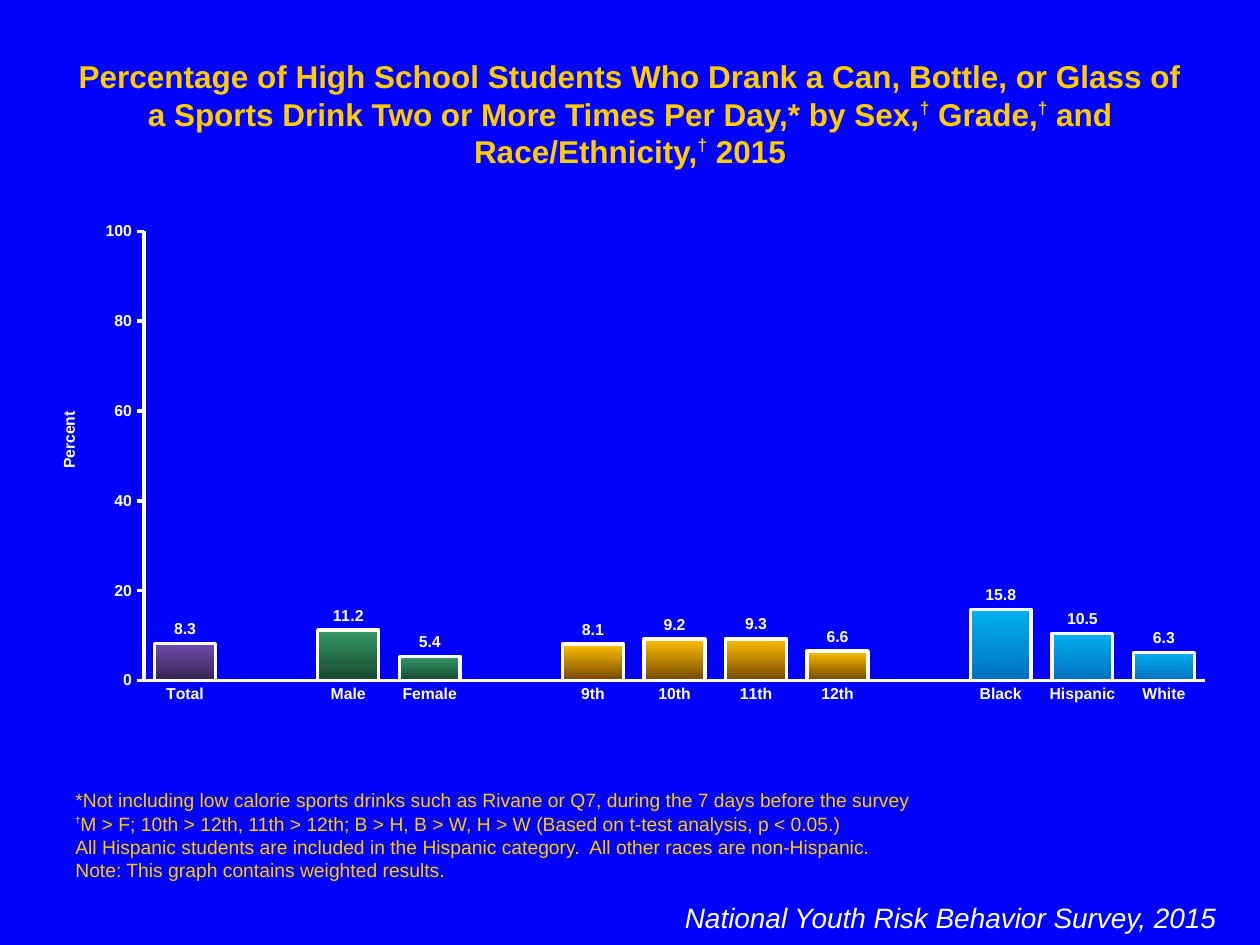
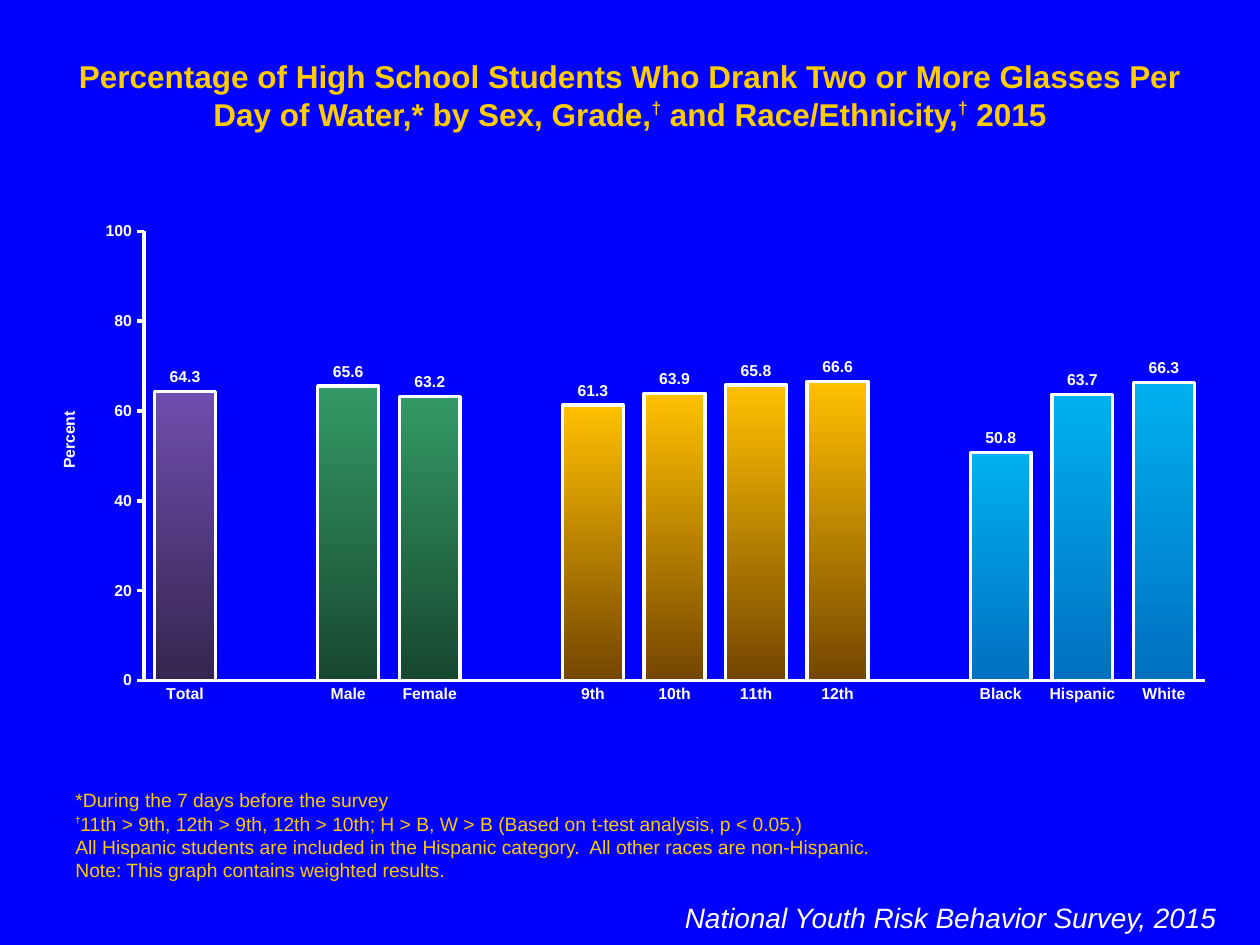
"""Build two survey slides, each a title, a bar chart, notes and a source line."""
from dataclasses import dataclass

from lxml import etree
from pptx import Presentation
from pptx import util as u
from pptx.chart import data
from pptx.dml.color import RGBColor
from pptx.enum import chart as ch, text as tx
from pptx.oxml import ns

GROUPS = [
    (["Total"], ("6E4EAE", "35254F")),
    (["Male", "Female"], ("339966", "18472F")),
    (["9th", "10th", "11th", "12th"], ("FFC000", "744600")),
    (["Black", "Hispanic", "White"], ("00B0F0", "0070C0")),
]
SLIDES = [
    {
        "title": "Percentage of High School Students Who Drank a Can, Bottle, or Glass of "
                 "a Sports Drink Two or More Times Per Day,* by Sex,† Grade,† and "
                 "Race/Ethnicity,† 2015",
        "notes": [
            "*Not including low calorie sports drinks such as Rivane or Q7, "
            "during the 7 days before the survey",
            "†M > F; 10th > 12th, 11th > 12th; B > H, B > W, H > W "
            "(Based on t-test analysis, p < 0.05.)",
        ],
        "rates": [[8.3], [11.2, 5.4], [8.1, 9.2, 9.3, 6.6], [15.8, 10.5, 6.3]],
    },
    {
        "title": "Percentage of High School Students Who Drank Two or More Glasses Per "
                 "Day of Water,* by Sex, Grade,† and Race/Ethnicity,† 2015",
        "notes": [
            "*During the 7 days before the survey",
            "†11th > 9th, 12th > 9th, 12th > 10th; H > B, W > B "
            "(Based on t-test analysis, p < 0.05.)",
        ],
        "rates": [[64.3], [65.6, 63.2], [61.3, 63.9, 65.8, 66.6], [50.8, 63.7, 66.3]],
    },
]
SHARED = [
    "All Hispanic students are included in the Hispanic category.  "
    "All other races are non-Hispanic.",
    "Note: This graph contains weighted results.",
]
SOURCE = "National Youth Risk Behavior Survey, 2015"


@dataclass(frozen=True)
class Theme:
    face: str = "Arial"
    back: str = "0000FF"
    gold: str = "FFCC00"
    white: str = "FFFFFF"
    title: int = 18
    note: int = 11
    source: int = 16
    label: int = 9
    line: int = 2


T = Theme()


def rgb(code):
    return RGBColor.from_string(code)


def style(font, size, color, bold=False, italic=False):
    font.name, font.size = T.face, u.Pt(size)
    font.bold, font.italic = bold, italic
    font.color.rgb = rgb(color)


def write(slide, area, lines, size, color, align, bold=False, italic=False,
          anchor=tx.MSO_ANCHOR.TOP, mark=(17, 40, True)):
    frame = slide.shapes.add_textbox(*map(u.Cm, area)).text_frame
    frame.word_wrap = True
    frame.auto_size = tx.MSO_AUTO_SIZE.SHAPE_TO_FIT_TEXT
    frame.vertical_anchor = anchor
    for i, line in enumerate(lines):
        para = frame.add_paragraph() if i else frame.paragraphs[0]
        para.alignment = align
        style(para.font, size, color, bold, italic)
        for j, part in enumerate(line.split("†")):
            if j:
                raise_mark(para, *mark)
            if part:
                para.add_run().text = part


def raise_mark(para, size, lift, bold):
    run = para.add_run()
    run.text = "†"
    run.font.size, run.font.bold = u.Pt(size), bold
    run.font._element.set("baseline", str(lift * 1000))


def place(parent, index, **spots):
    layout = parent.find(ns.qn("c:layout"))
    if layout is None:
        layout = etree.Element(ns.qn("c:layout"))
        parent.insert(index, layout)
    manual = etree.SubElement(layout, ns.qn("c:manualLayout"))
    for tag, value in spots.items():
        etree.SubElement(manual, ns.qn(f"c:{tag}")).set("val", str(value))


def rule(line):
    line.color.rgb = rgb(T.white)
    line.width = u.Pt(T.line)


def spread(parts, gap):
    flat = []
    for part in parts:
        flat += ([gap] if flat else []) + list(part)
    return flat


def plot(slide, rates):
    info = data.CategoryChartData()
    info.categories = spread([names for names, _ in GROUPS], "")
    info.add_series("Series 1", spread(rates, None))
    area = map(u.Cm, (0.64, 4.29, 24.13, 10.11))
    chart = slide.shapes.add_chart(ch.XL_CHART_TYPE.COLUMN_CLUSTERED, *area, info).chart
    chart.has_legend = chart.has_title = False
    style(chart.font, T.title, T.white)
    place(chart._chartSpace.chart.plotArea, 0, layoutTarget="inner", xMode="edge",
          yMode="edge", x=0.094, y=0.037, w=0.886, h=0.896)

    for axis in (chart.category_axis, chart.value_axis):
        axis.has_major_gridlines = False
        axis.major_tick_mark = axis.minor_tick_mark = ch.XL_TICK_MARK.NONE
        style(axis.tick_labels.font, T.label, T.white, True)
        rule(axis.format.line)
    axis.major_tick_mark = ch.XL_TICK_MARK.OUTSIDE
    axis.minimum_scale, axis.maximum_scale, axis.major_unit = 0, 100, 20
    head = axis.axis_title
    para = head.text_frame.paragraphs[0]
    para.text = "Percent"
    style(para.runs[0].font, T.label, T.white, True)
    place(head._element, 1, xMode="edge", yMode="edge", x=0.02, y=0.39)

    bars = chart.plots[0]
    bars.gap_width, bars.overlap, bars.vary_by_categories = 34, 100, False
    bars.has_data_labels = True
    labels = bars.data_labels
    labels.show_value = True
    labels.number_format, labels.number_format_is_linked = "#,##0.0", False
    labels.position = ch.XL_LABEL_POSITION.OUTSIDE_END
    style(labels.font, T.label, T.white, True)

    series = bars.series[0]
    series.invert_if_negative = False
    rule(series.format.line)
    hues = spread([[hue] * len(names) for names, hue in GROUPS], None)
    for i, hue in enumerate(hues):
        if hue:
            look = series.points[i].format
            look.fill.gradient()
            look.fill.gradient_angle = 270
            for stop, code in zip(look.fill.gradient_stops, hue):
                stop.color.rgb = rgb(code)
            rule(look.line)


def main():
    deck = Presentation()
    deck.slide_width, deck.slide_height = u.Cm(25.4), u.Cm(19.05)
    side = tx.PP_ALIGN
    for page in SLIDES:
        slide = deck.slides.add_slide(deck.slide_layouts[6])
        slide.background.fill.solid()
        slide.background.fill.fore_color.rgb = rgb(T.back)
        write(slide, (1.27, 1.02, 22.86, 1.02), [page["title"]],
              T.title, T.gold, side.CENTER, bold=True)
        write(slide, (1.27, 17.15, 22.86, 0.74), page["notes"] + SHARED,
              T.note, T.gold, side.LEFT, anchor=tx.MSO_ANCHOR.BOTTOM, mark=(9, 50, True))
        write(slide, (10.8, 18.03, 13.97, 1.02), [SOURCE],
              T.source, T.white, side.RIGHT, italic=True)
        plot(slide, page["rates"])
    deck.save("out.pptx")


if __name__ == "__main__":
    main()
